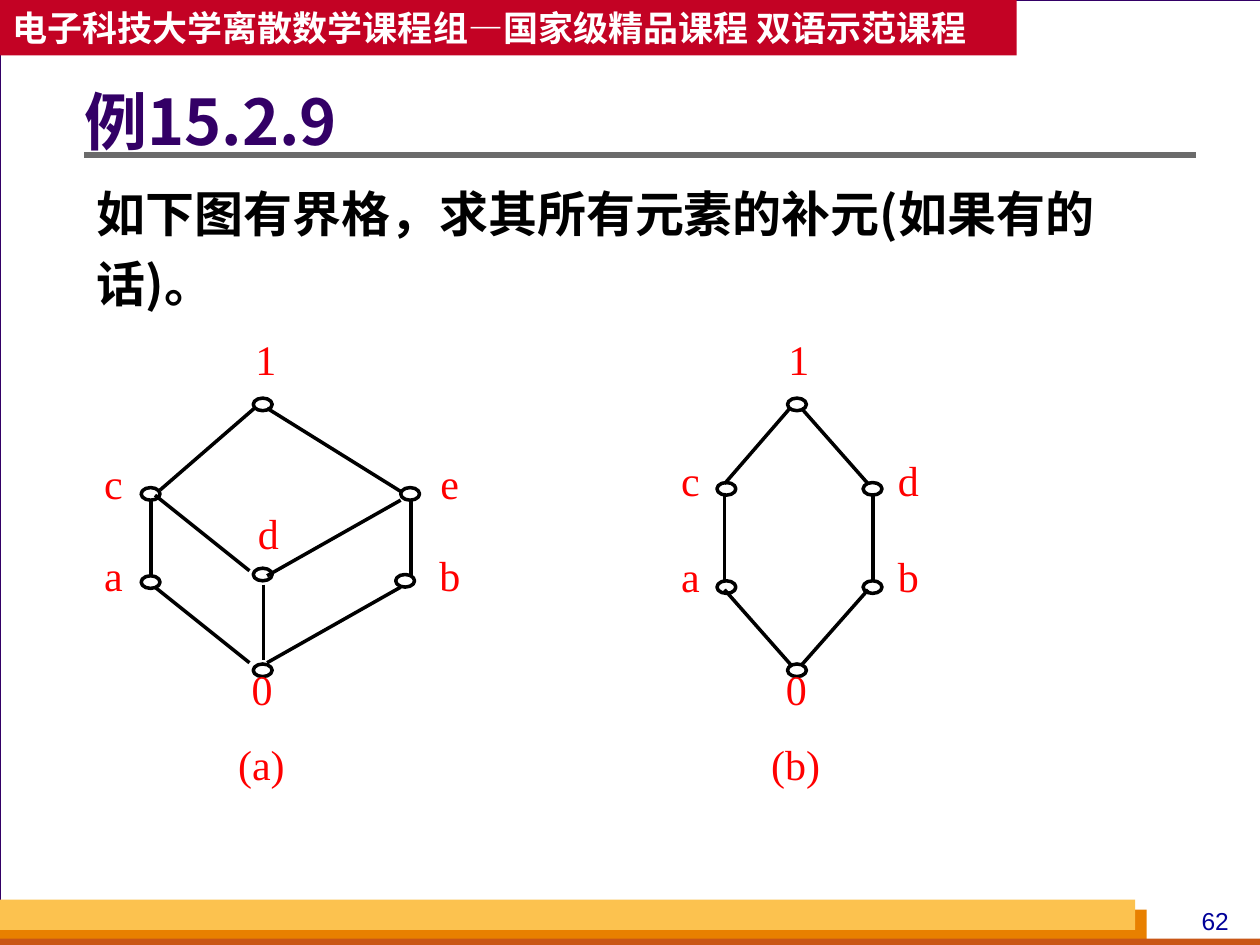
from pptx import Presentation
from pptx import util as u
from pptx.dml.color import RGBColor
from pptx.enum import shapes, text
from pptx.oxml.ns import qn
from lxml import etree

I = u.Inches
CJK = "Noto Sans CJK SC"
LABEL = dict(name="Times New Roman", size=24, color="FF0000")

# Node, edge and label positions are relative to the top left of each diagram
LATTICE_A = dict(
    nodes=[(1.26, .51), (.37, 1.22), (2.43, 1.22), (1.26, 1.86),
           (.37, 1.92), (2.39, 1.91), (1.26, 2.62)],
    edges=[(1.27, .59, .52, 1.24), (1.37, .59, 2.43, 1.25),
           (.45, 1.32, .45, 1.92), (2.51, 1.32, 2.51, 1.92),
           (.48, 1.28, 1.23, 1.88), (2.43, 1.32, 1.37, 1.92),
           (.48, 2.01, 1.23, 2.61), (1.34, 1.99, 1.34, 2.59),
           (2.43, 2.01, 1.37, 2.61)],
    labels={"1": (1.21, 0), "c": (0, .98), "e": (2.67, .98), "d": (1.23, 1.38),
            "a": (0, 1.71), "b": (2.67, 1.71), "0": (1.18, 2.62)},
    caption=("(a)", .95))
LATTICE_B = dict(
    nodes=[(.92, .51), (.36, 1.18), (1.52, 1.18),
           (.36, 1.96), (1.52, 1.96), (.92, 2.62)],
    edges=[(.94, .59, .42, 1.19), (1.03, .59, 1.56, 1.19),
           (.42, 1.26, .42, 1.96), (1.6, 1.26, 1.6, 1.96),
           (.42, 2.03, .95, 2.63), (1.56, 2.03, 1.03, 2.63)],
    labels={"1": (.86, 0), "c": (0, .96), "d": (1.73, .96),
            "a": (0, 1.72), "b": (1.73, 1.72), "0": (.84, 2.62)},
    caption=("(b)", .61))


def rgb(value):
    return RGBColor.from_string(value)


def add_shape(s, kind, x, y, w, h, fill, line=None, width=0.75):
    sp = s.shapes.add_shape(kind, I(x), I(y), I(w), I(h))
    sp.shadow.inherit = False
    sp.fill.solid()
    sp.fill.fore_color.rgb = rgb(fill)
    if line:
        sp.line.color.rgb = rgb(line)
        sp.line.width = u.Pt(width)
    else:
        sp.line.fill.background()
    return sp


def add_rect(s, *args, **kwargs):
    return add_shape(s, shapes.MSO_SHAPE.RECTANGLE, *args, **kwargs)


def add_line(s, x1, y1, x2, y2, color, width):
    cn = s.shapes.add_connector(shapes.MSO_CONNECTOR.STRAIGHT,
                                I(x1), I(y1), I(x2), I(y2))
    cn.line.color.rgb = rgb(color)
    cn.line.width = u.Pt(width)
    etree.SubElement(cn._element.spPr, qn("a:effectLst"))


def write(sp, words, name, size, color, bold=False, align="LEFT", anchor="TOP",
          insets=(.1, .05, .1, .05), wrap=True, **spacing):
    tf = sp.text_frame
    tf.word_wrap = wrap
    tf.vertical_anchor = getattr(text.MSO_ANCHOR, anchor)
    for side, inset in zip(("left", "top", "right", "bottom"), insets):
        setattr(tf, "margin_" + side, I(inset))
    p = tf.paragraphs[0]
    p.alignment = getattr(text.PP_ALIGN, align)
    for key, value in spacing.items():
        setattr(p, key, value)
    r = p.add_run()
    r.text = words
    for key, value in dict(name=name, size=u.Pt(size), bold=bold).items():
        setattr(r.font, key, value)
    r.font.color.rgb = rgb(color)
    # East Asian characters take their own typeface
    etree.SubElement(r._r.get_or_add_rPr(), qn("a:ea")).set("typeface", name)


def add_text(s, x, y, w, h, words, **fmt):
    write(s.shapes.add_textbox(I(x), I(y), I(w), I(h)), words, **fmt)


def add_frame(s, w, h):
    add_rect(s, 0, 0, w, h, "FFFFFF", line="330066")
    # Footer bars and page number
    add_rect(s, 0, h - .28, 9.1, .28, "E88000")
    add_rect(s, 0, h - .05, w, .05, "C95616")
    add_rect(s, 0, h - .36, 9.01, .24, "FCC24F")
    add_text(s, 9.33, h - .36, .63, .34, "62", name="Arial", size=14,
             color="000099", align="CENTER")
    # Course banner
    banner = add_rect(s, 0, 0, 8.07, .44, "C30224")
    write(banner, "电子科技大学离散数学课程组—国家级精品课程 双语示范课程",
          name=CJK, size=20, color="FFFFFF", bold=True, anchor="MIDDLE", wrap=False)


def add_question(s, x, y, w):
    add_line(s, x, y + .71, x + w, y + .71, "6B6B6B", 3)
    add_text(s, x, y, w, .95, "例15.2.9", name=CJK, size=36, color="330066",
             bold=True, anchor="MIDDLE", insets=(0, .05, .1, .05), line_spacing=.9)
    add_text(s, x, y + .79, w, 1.42, "如下图有界格，求其所有元素的补元(如果有的话)。",
             name=CJK, size=28, color="000000", bold=True, line_spacing=1.2)


def add_lattice(s, x, y, nodes, edges, labels, caption):
    centred = dict(LABEL, align="CENTER", insets=(0, 0, 0, 0))
    words, dx = caption
    write(add_rect(s, x + dx, y + 3.21, .75, .5, "FFFFFF"), words, **centred)
    for nx, ny in nodes:
        add_shape(s, shapes.MSO_SHAPE.OVAL, x + nx, y + ny, .15, .1,
                  "FFFFFF", line="000000", width=2)
    for x1, y1, x2, y2 in edges:
        add_line(s, x + x1, y + y1, x + x2, y + y2, "000000", 2)
    for label, (lx, ly) in labels.items():
        add_text(s, x + lx, y + ly, .3, .5, label, **centred)


def main():
    prs = Presentation()
    prs.slide_width, prs.slide_height = I(10), I(7.5)
    s = prs.slides.add_slide(prs.slide_layouts[6])
    s.background.fill.solid()
    s.background.fill.fore_color.rgb = rgb("D8DADA")
    add_frame(s, 10.01, 7.5)
    add_question(s, .67, .52, 8.82)
    add_lattice(s, .75, 2.65, **LATTICE_A)
    add_lattice(s, 5.33, 2.65, **LATTICE_B)
    prs.save("out.pptx")


if __name__ == "__main__":
    main()
